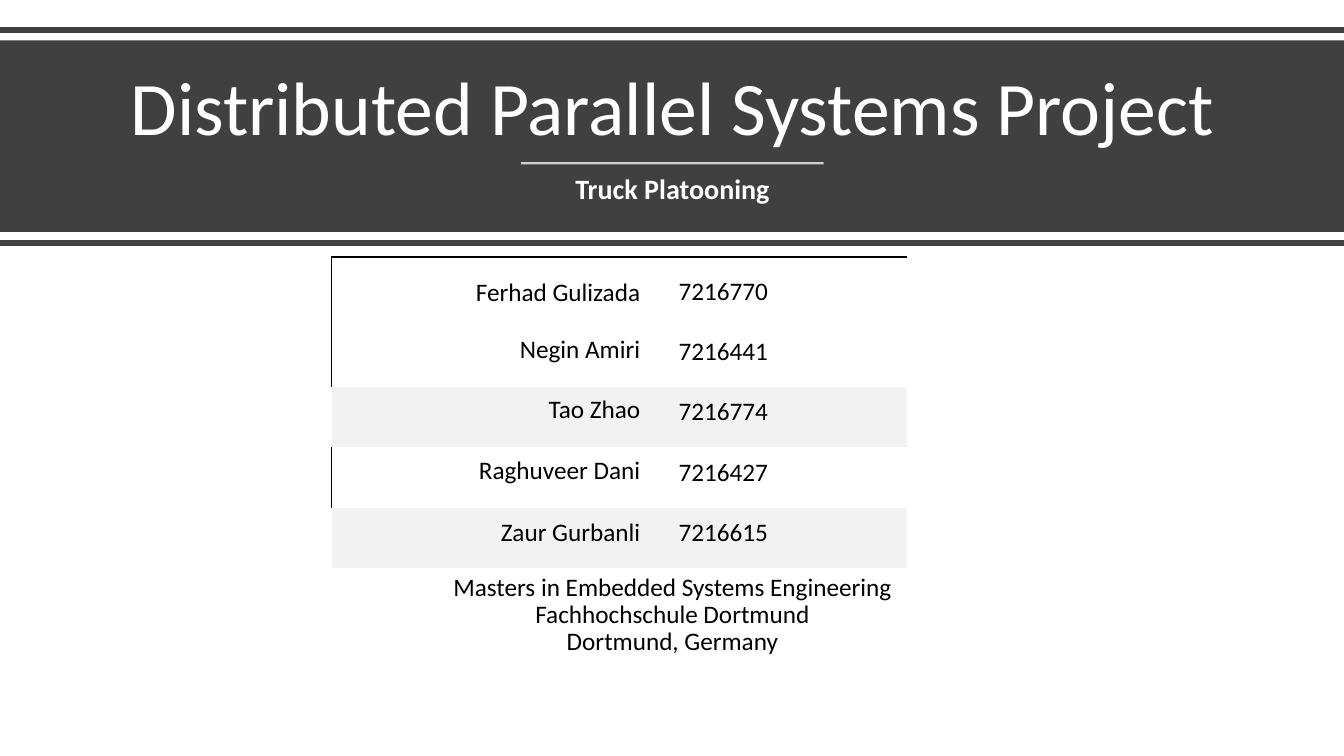
from lxml.etree import SubElement
from pptx import Presentation
from pptx.dml.color import RGBColor
from pptx.enum.shapes import MSO_CONNECTOR as CONNECTOR, MSO_SHAPE as SHAPE
from pptx.enum.text import MSO_ANCHOR as ANCHOR, MSO_AUTO_SIZE as AUTO_SIZE, PP_ALIGN as ALIGN
from pptx.oxml.ns import qn
from pptx.util import Emu, Pt

PX = 9144  # 100 px to the inch
WIDTH, HEIGHT = 1333, 750
FONT = "Calibri"
CHARCOAL = RGBColor(0x40, 0x40, 0x40)
WHITE = RGBColor(0xFF, 0xFF, 0xFF)
BLACK = RGBColor(0x00, 0x00, 0x00)
PALE_GREY = RGBColor(0xF2, 0xF2, 0xF2)
NO_STYLE_NO_GRID = "{2D5ABB26-0587-4C30-8999-92F81FD0307C}"

STUDENTS = [
    ("Ferhad Gulizada", "7216770"),
    ("Negin Amiri", "7216441"),
    ("Tao Zhao", "7216774"),
    ("Raghuveer Dani", "7216427"),
    ("Zaur Gurbanli", "7216615"),
]
AFFILIATION = [
    "Masters in Embedded Systems Engineering",
    "Fachhochschule Dortmund",
    "Dortmund, Germany",
]


def px(*lengths):
    return [Emu(length * PX) for length in lengths]


def format_paragraph(paragraph, size, color, align, bold=False, spacing=0.9, before=0):
    paragraph.alignment = align
    paragraph.line_spacing = spacing
    paragraph.space_before = Pt(before)
    for run in paragraph.runs:
        run.font.name = FONT
        run.font.size = Pt(size)
        run.font.bold = bold
        run.font.color.rgb = color


def fill_placeholder(holder, box, text, size, anchor, bold=False, before=0):
    holder.left, holder.top, holder.width, holder.height = px(*box)
    frame = holder.text_frame
    frame.text = text
    frame.auto_size = AUTO_SIZE.NONE
    frame.vertical_anchor = anchor
    format_paragraph(frame.paragraphs[0], size, WHITE, ALIGN.CENTER, bold, before=before)


def add_band(slide, top, height):
    band = slide.shapes.add_shape(SHAPE.RECTANGLE, *px(0, top, WIDTH, height))
    band.shadow.inherit = False
    band.fill.solid()
    band.fill.fore_color.rgb = CHARCOAL
    band.line.fill.background()
    # Behind the title and subtitle
    slide.shapes._spTree.insert(2, band._element)


def add_rule(slide, left, right, y, color, weight, opacity=100):
    rule = slide.shapes.add_connector(CONNECTOR.STRAIGHT, *px(left, y, right, y))
    rule.line.color.rgb = color
    rule.line.width = Pt(weight)
    properties = rule._element.spPr
    if opacity < 100:
        tint = properties.find(".//" + qn("a:srgbClr"))
        SubElement(tint, qn("a:alpha"), val=str(opacity * 1000))
    SubElement(properties, qn("a:effectLst"))


def add_border(cell, side):
    border = SubElement(cell._tc.get_or_add_tcPr(), qn(f"a:ln{side}"), w=str(Pt(1)))
    fill = SubElement(border, qn("a:solidFill"))
    SubElement(fill, qn("a:srgbClr"), val=str(BLACK))


def add_student_table(slide):
    frame = slide.shapes.add_table(len(STUDENTS), 2, *px(329, 255, 571, 308))
    table = frame.table
    table.first_row = table.horz_banding = False
    table._tbl.tblPr.find(qn("a:tableStyleId")).text = NO_STYLE_NO_GRID
    table.columns[0].width, table.columns[1].width = px(325, 246)

    for r, student in enumerate(STUDENTS):
        first, shaded = r == 0, r in (2, 4)
        table.rows[r].height = px(68 if first else 60)[0]
        for c, text in enumerate(student):
            cell = table.cell(r, c)
            cell.text = text
            cell.margin_left, cell.margin_right, cell.margin_bottom = px(19, 19, 19)
            cell.margin_top = px(19 if first else 10)[0]
            cell.vertical_anchor = ANCHOR.BOTTOM if first else ANCHOR.TOP
            # Borders come before the fill in the cell properties
            if c == 0 and not shaded:
                add_border(cell, "L")
            if first:
                add_border(cell, "T")
            if shaded:
                cell.fill.solid()
                cell.fill.fore_color.rgb = PALE_GREY
            else:
                cell.fill.background()
            tight = c == 0 and r < len(STUDENTS) - 1
            format_paragraph(cell.text_frame.paragraphs[0], 18, BLACK,
                             ALIGN.RIGHT if c == 0 else ALIGN.LEFT,
                             spacing=0.9 if tight else 1.0, before=10 if tight else 0)


def add_affiliation(slide):
    frame = slide.shapes.add_textbox(*px(167, 560, 1000, 124)).text_frame
    frame.word_wrap = True
    frame.text = "\n".join(AFFILIATION)
    for i, paragraph in enumerate(frame.paragraphs):
        format_paragraph(paragraph, 18, BLACK, ALIGN.CENTER,
                         spacing=0.9 if i else 1.06, before=0 if i else 0.7)


def main():
    deck = Presentation()
    deck.slide_width, deck.slide_height = px(WIDTH, HEIGHT)
    slide = deck.slides.add_slide(deck.slide_layouts[0])

    # Header band with title and subtitle
    add_band(slide, 40, 190)
    fill_placeholder(slide.shapes.title, (58, 54, 1218, 102),
                     "Distributed Parallel Systems Project", 54, ANCHOR.BOTTOM)
    fill_placeholder(slide.placeholders[1], (167, 169, 1000, 46),
                     "Truck Platooning", 20, ANCHOR.TOP, bold=True, before=10)

    # Rules around and inside the band
    for y in (30, 241):
        add_rule(slide, 0, WIDTH, y, CHARCOAL, 4)
    add_rule(slide, 517, 817, 162, WHITE, 1.5, opacity=75)

    # Team and affiliation
    add_student_table(slide)
    add_affiliation(slide)

    deck.save("out.pptx")


if __name__ == "__main__":
    main()
